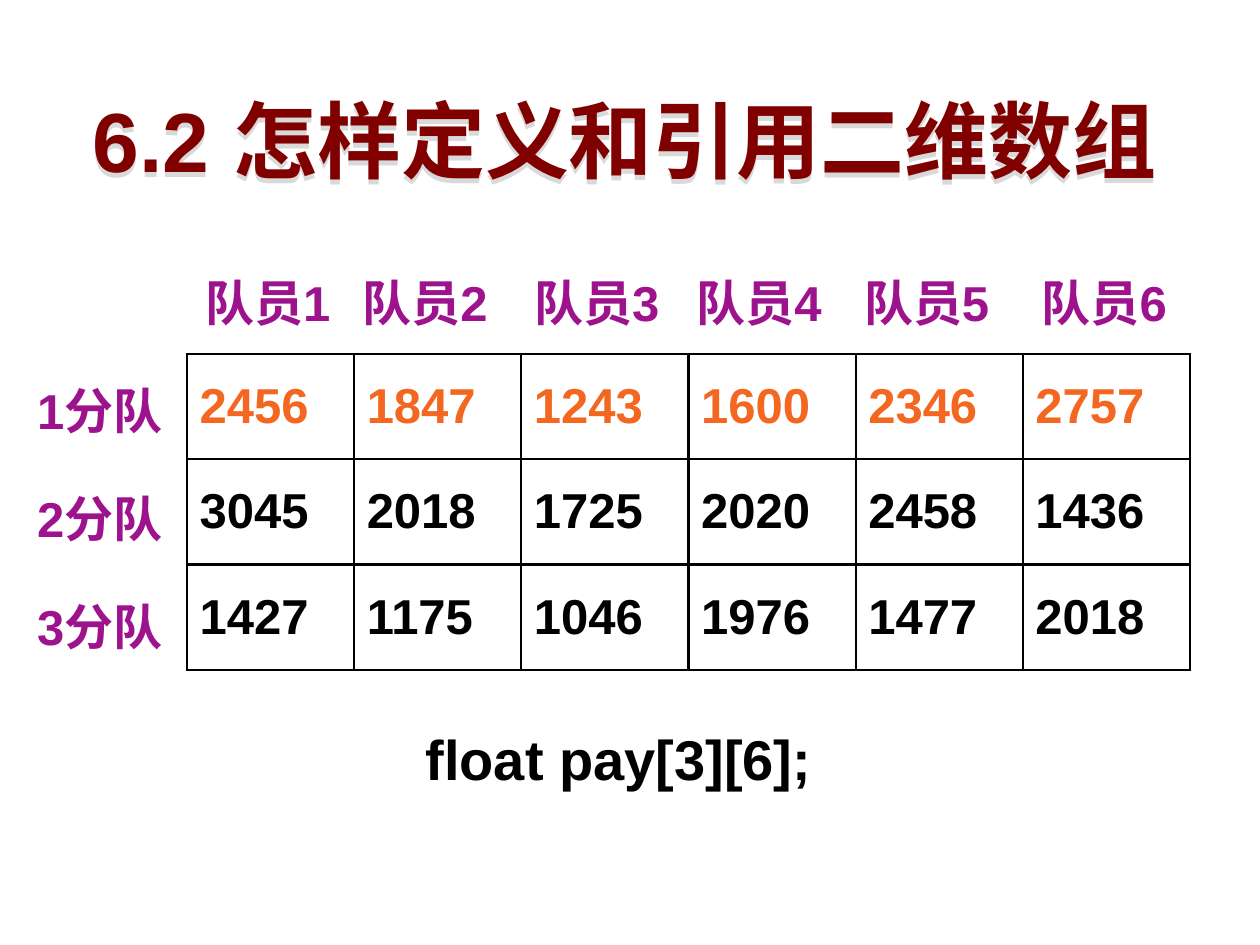
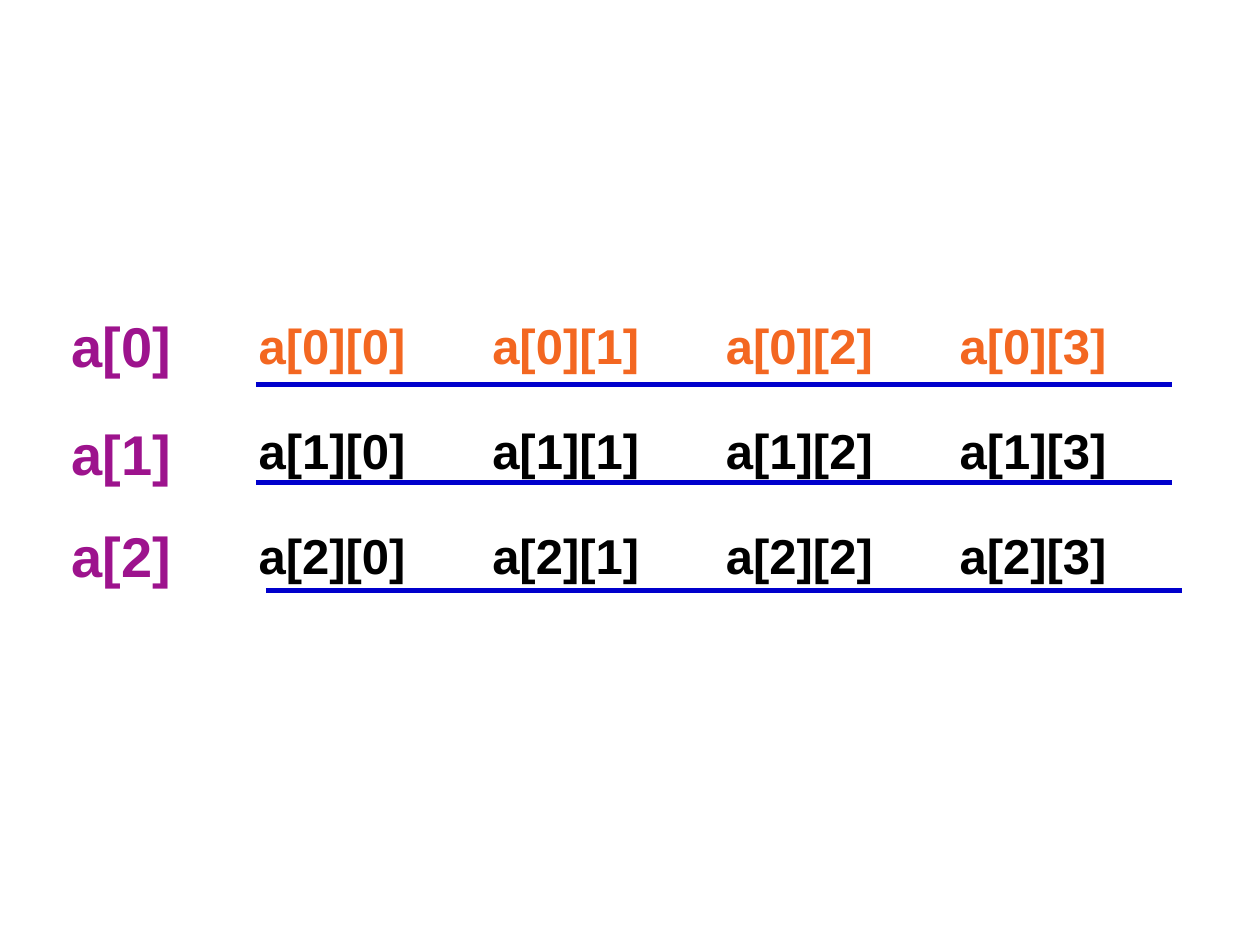
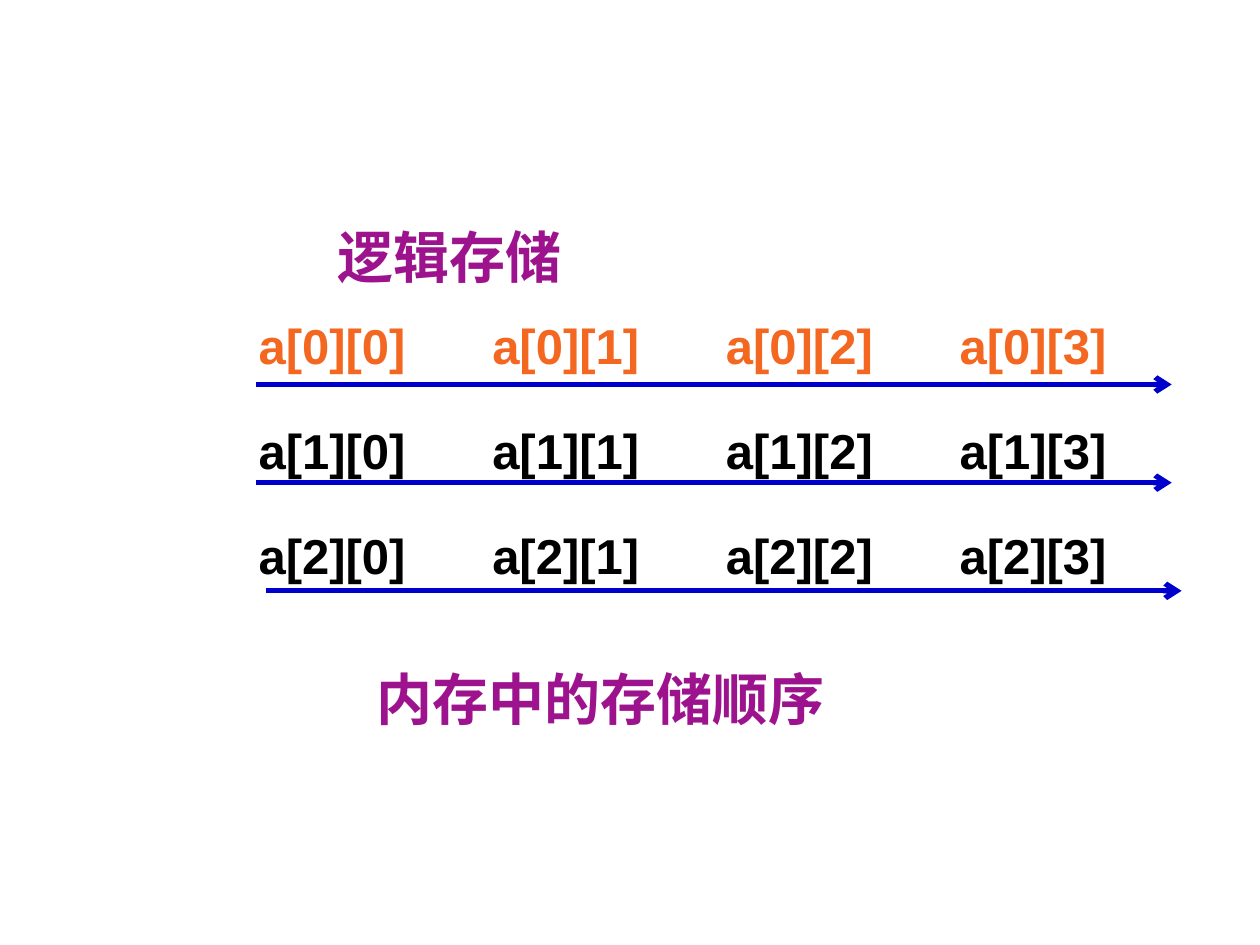
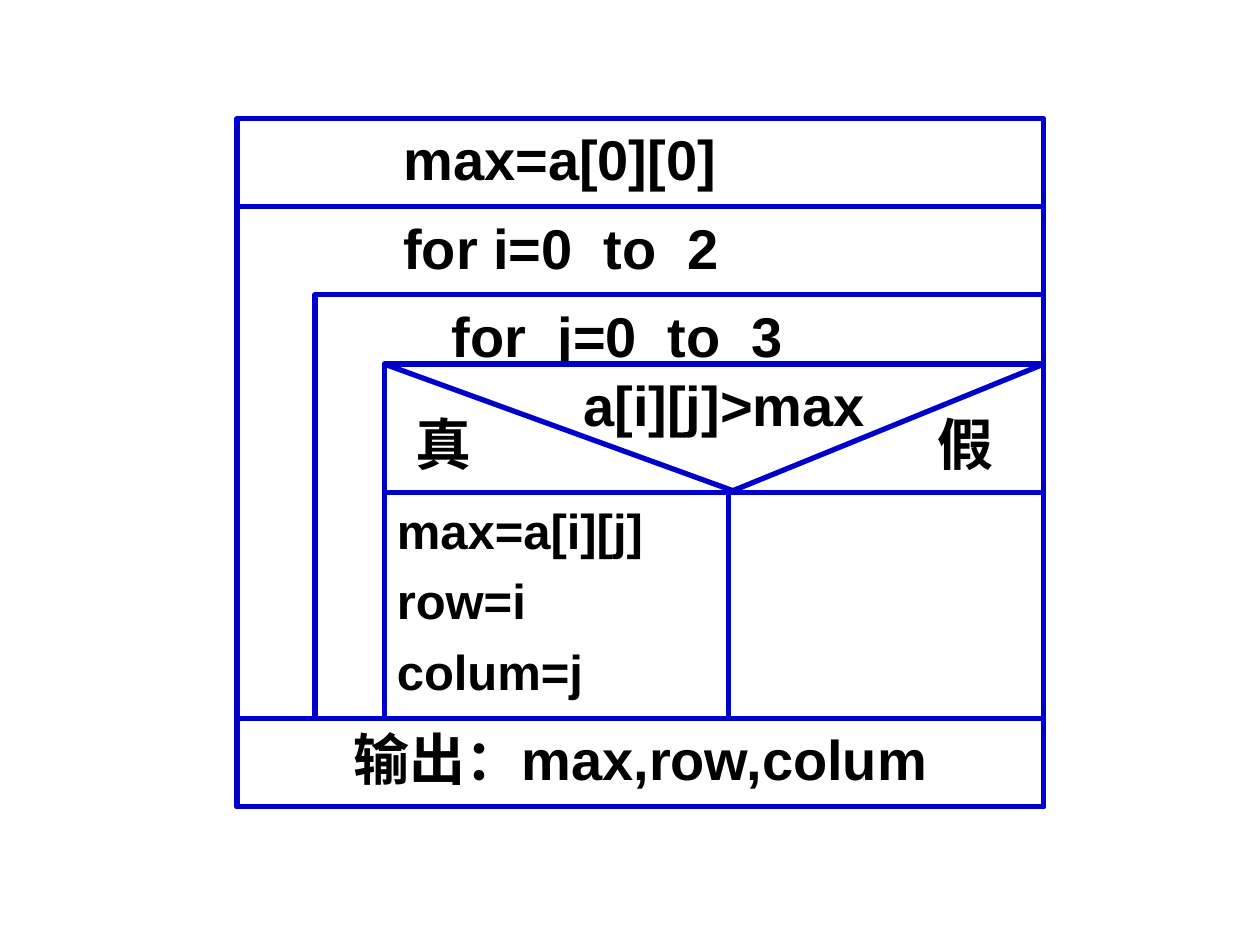
from dataclasses import dataclass

from lxml import etree
from pptx import Presentation
from pptx.dml.color import RGBColor
from pptx.enum.shapes import MSO_CONNECTOR, MSO_SHAPE
from pptx.enum.text import MSO_ANCHOR, MSO_AUTO_SIZE, PP_ALIGN
from pptx.oxml import parse_xml
from pptx.oxml.ns import nsdecls, qn
from pptx.util import Cm, Pt

MAROON = RGBColor(0x80, 0x00, 0x00)
PURPLE = RGBColor(0x9D, 0x13, 0x8D)
ORANGE = RGBColor(0xF3, 0x67, 0x21)
BLUE = RGBColor(0x00, 0x00, 0xCC)
BLACK = RGBColor(0x00, 0x00, 0x00)
WHITE = RGBColor(0xFF, 0xFF, 0xFF)
SHADOW_GRAY = RGBColor(0xD9, 0xD9, 0xD9)

STRAIGHT = MSO_CONNECTOR.STRAIGHT
PROCESS, RECTANGLE = MSO_SHAPE.FLOWCHART_PROCESS, MSO_SHAPE.RECTANGLE
TOP, MIDDLE = MSO_ANCHOR.TOP, MSO_ANCHOR.MIDDLE
LEFT, CENTER = PP_ALIGN.LEFT, PP_ALIGN.CENTER
FIT_SHAPE = MSO_AUTO_SIZE.SHAPE_TO_FIT_TEXT

FONT = "Arial"
BLANK_LAYOUT = 6
ROW_HEIGHT = 2.12
HEADING_WIDTH, HEADING_HEIGHT = 3.4, 1.45
INSET_X, INSET_Y = 0.25, 0.13


@dataclass(frozen=True)
class Area:
    """A rectangle on the slide, in centimetres."""
    left: float
    top: float
    width: float
    height: float

    def lengths(self) -> tuple:
        return Cm(self.left), Cm(self.top), Cm(self.width), Cm(self.height)


@dataclass(frozen=True)
class Segment:
    """A straight line between two points, in centimetres."""
    x1: float
    y1: float
    x2: float
    y2: float


@dataclass(frozen=True)
class Block:
    """A block of the structure chart, with its text's extra indent and drop."""
    area: Area
    lines: tuple[str, ...]
    size: int = 32
    geometry: int = PROCESS
    framed: bool = True
    indent: float = 0
    drop: float = 0
    align: int = LEFT
    spacing: float = 1.0


UNDERLINES = (
    Segment(5.16, 7.75, 23.62, 7.75),
    Segment(5.16, 9.73, 23.62, 9.73),
    Segment(5.36, 11.91, 23.82, 11.91),
)


def style(paragraph, size: int, color: RGBColor) -> None:
    font = paragraph.font
    font.name, font.size, font.bold = FONT, Pt(size), True
    font.color.rgb = color


def add_label(slide, text: str, area: Area, size: int = 32,
              color: RGBColor = PURPLE):
    label = slide.shapes.add_textbox(*area.lengths())
    frame = label.text_frame
    frame.word_wrap = True
    frame.auto_size = FIT_SHAPE
    paragraph = frame.paragraphs[0]
    paragraph.text = text
    style(paragraph, size, color)
    return label


def add_title(slide, text: str) -> None:
    """Add a centred title whose letters cast a light shadow."""
    title = add_label(slide, text, Area(0.79, 1.65, 23.62, 2.31), 48, MAROON)
    frame = title.text_frame
    frame.vertical_anchor = MIDDLE
    frame.paragraphs[0].alignment = CENTER
    title._element.spPr.append(parse_xml(
        f'<a:effectLst {nsdecls("a")}><a:outerShdw dist="{Pt(3)}" dir="5400000">'
        f'<a:srgbClr val="{SHADOW_GRAY}"/></a:outerShdw></a:effectLst>'))


def add_border(cell) -> None:
    """Draw a thin black line on all four sides of a cell."""
    properties = cell._tc.get_or_add_tcPr()
    for position, side in enumerate(("lnL", "lnR", "lnT", "lnB")):
        properties.insert(position, parse_xml(
            f'<a:{side} {nsdecls("a")} w="{Pt(1.47)}"><a:solidFill>'
            f'<a:srgbClr val="{BLACK}"/></a:solidFill></a:{side}>'))


def add_grid(slide, rows: list[list], left: float, top: float,
             column_width: float, bordered: bool) -> None:
    """Add a table whose first row is orange and the others black."""
    area = Area(left, top, column_width * len(rows[0]), ROW_HEIGHT * len(rows))
    table = slide.shapes.add_table(len(rows), len(rows[0]), *area.lengths()).table
    table.first_row = table.horz_banding = False
    for row_index, row in enumerate(rows):
        for column_index, value in enumerate(row):
            cell = table.cell(row_index, column_index)
            cell.fill.solid()
            cell.fill.fore_color.rgb = WHITE
            cell.vertical_anchor = MIDDLE
            paragraph = cell.text_frame.paragraphs[0]
            paragraph.text = str(value)
            style(paragraph, 28, BLACK if row_index else ORANGE)
            if bordered:
                add_border(cell)


def add_line(shapes, segment: Segment, arrow: bool = False) -> None:
    connector = shapes.add_connector(
        STRAIGHT, Cm(segment.x1), Cm(segment.y1), Cm(segment.x2), Cm(segment.y2))
    connector.line.color.rgb = BLUE
    connector.line.width = Pt(3)
    if arrow:
        outline = connector.line._get_or_add_ln()
        etree.SubElement(outline, qn("a:tailEnd"), type="arrow")
    etree.SubElement(connector._element.spPr, qn("a:effectLst"))


def add_block(shapes, block: Block) -> None:
    shape = shapes.add_shape(block.geometry, *block.area.lengths())
    shape.shadow.inherit = False
    if block.framed:
        shape.fill.solid()
        shape.fill.fore_color.rgb = WHITE
        shape.line.color.rgb = BLUE
        shape.line.width = Pt(3)
    else:
        shape.fill.background()
        shape.line.fill.background()
    frame = shape.text_frame
    frame.word_wrap = True
    frame.vertical_anchor = TOP
    frame.margin_left = Cm(INSET_X + block.indent)
    frame.margin_top = Cm(INSET_Y + block.drop)
    frame.text = "\n".join(block.lines)
    for paragraph in frame.paragraphs:
        paragraph.alignment = block.align
        paragraph.line_spacing = block.spacing
        style(paragraph, block.size, BLACK)


def add_element_grid(slide) -> None:
    elements = [[f"a[{i}][{j}]" for j in range(4)] for i in range(3)]
    add_grid(slide, elements, 4.96, 5.94, 4.71, bordered=False)


def add_heading(slide, text: str, left: float, top: float) -> None:
    """Label a row or column of the pay table."""
    add_label(slide, text, Area(left, top, HEADING_WIDTH, HEADING_HEIGHT), 28)


def build_pay_table(slide) -> None:
    add_title(slide, "6.2 怎样定义和引用二维数组")
    pay = [
        [2456, 1847, 1243, 1600, 2346, 2757],
        [3045, 2018, 1725, 2020, 2458, 1436],
        [1427, 1175, 1046, 1976, 1477, 2018],
    ]
    add_grid(slide, pay, 3.77, 7.14, 3.37, bordered=True)
    for index in range(3):
        add_heading(slide, f"{index + 1}分队", 0.5, 7.54 + 2.18 * index)
    member_lefts = (3.89, 7.06, 10.52, 13.79, 17.17, 20.75)
    for number, left in enumerate(member_lefts, start=1):
        add_heading(slide, f"队员{number}", left, 5.36)
    add_label(slide, "float pay[3][6];", Area(8.33, 14.48, 9.53, 1.63), color=BLACK)


def build_row_arrays(slide) -> None:
    add_element_grid(slide)
    for index, top in enumerate((6.15, 8.33, 10.39)):
        add_label(slide, f"a[{index}]", Area(1.19, top, 3.1, 1.63))
    for underline in UNDERLINES:
        add_line(slide.shapes, underline)


def build_storage_order(slide) -> None:
    add_element_grid(slide)
    for underline in UNDERLINES:
        add_line(slide.shapes, underline, arrow=True)
    add_label(slide, "逻辑存储", Area(6.55, 4.37, 9.32, 1.63))
    add_label(slide, "内存中的存储顺序", Area(7.34, 13.28, 12.12, 1.63))


def build_structure_chart(slide) -> None:
    left, right = 4.78, 21.04
    inner, test_left, split = 6.35, 7.75, 14.68
    top, outer_top, inner_top, test_top = 2.39, 4.17, 5.94, 7.34
    branch_top, output_top, bar = 9.93, 14.48, 1.78
    width = right - left
    blocks = (
        Block(Area(left, outer_top, width, output_top + bar - outer_top),
              ("for i=0  to  2",), indent=3.1),
        Block(Area(inner, inner_top, right - inner, output_top - inner_top),
              ("for  j=0  to  3",), geometry=RECTANGLE, indent=2.51),
        Block(Area(test_left, test_top, right - test_left, output_top - test_top),
              ("max=a[i][j]", "row=i", "colum=j"), 28, drop=2.38, spacing=1.2),
        Block(Area(11.51, test_top, 6.55, bar), ("a[i][j]>max",), framed=False),
        Block(Area(8.13, 8.13, 1.98, bar), ("真",), framed=False),
        Block(Area(18.64, 8.13, 1.98, bar), ("假",), framed=False),
        Block(Area(left, top, width, bar), ("max=a[0][0]",), indent=3.1),
        Block(Area(left, output_top, width, bar), ("输出：max,row,colum",), align=CENTER),
    )
    dividers = (
        Segment(test_left, branch_top, right, branch_top),
        Segment(split, branch_top, right, test_top),
        Segment(test_left, test_top, 14.88, branch_top),
        Segment(split, output_top, split, branch_top),
    )
    chart = slide.shapes.add_group_shape().shapes
    for block in blocks:
        add_block(chart, block)
    for divider in dividers:
        add_line(chart, divider)


def main() -> None:
    presentation = Presentation()
    presentation.slide_width, presentation.slide_height = Cm(25.4), Cm(19.05)
    layout = presentation.slide_layouts[BLANK_LAYOUT]
    for build in (build_pay_table, build_row_arrays,
                  build_storage_order, build_structure_chart):
        build(presentation.slides.add_slide(layout))
    presentation.save("out.pptx")


if __name__ == "__main__":
    main()
